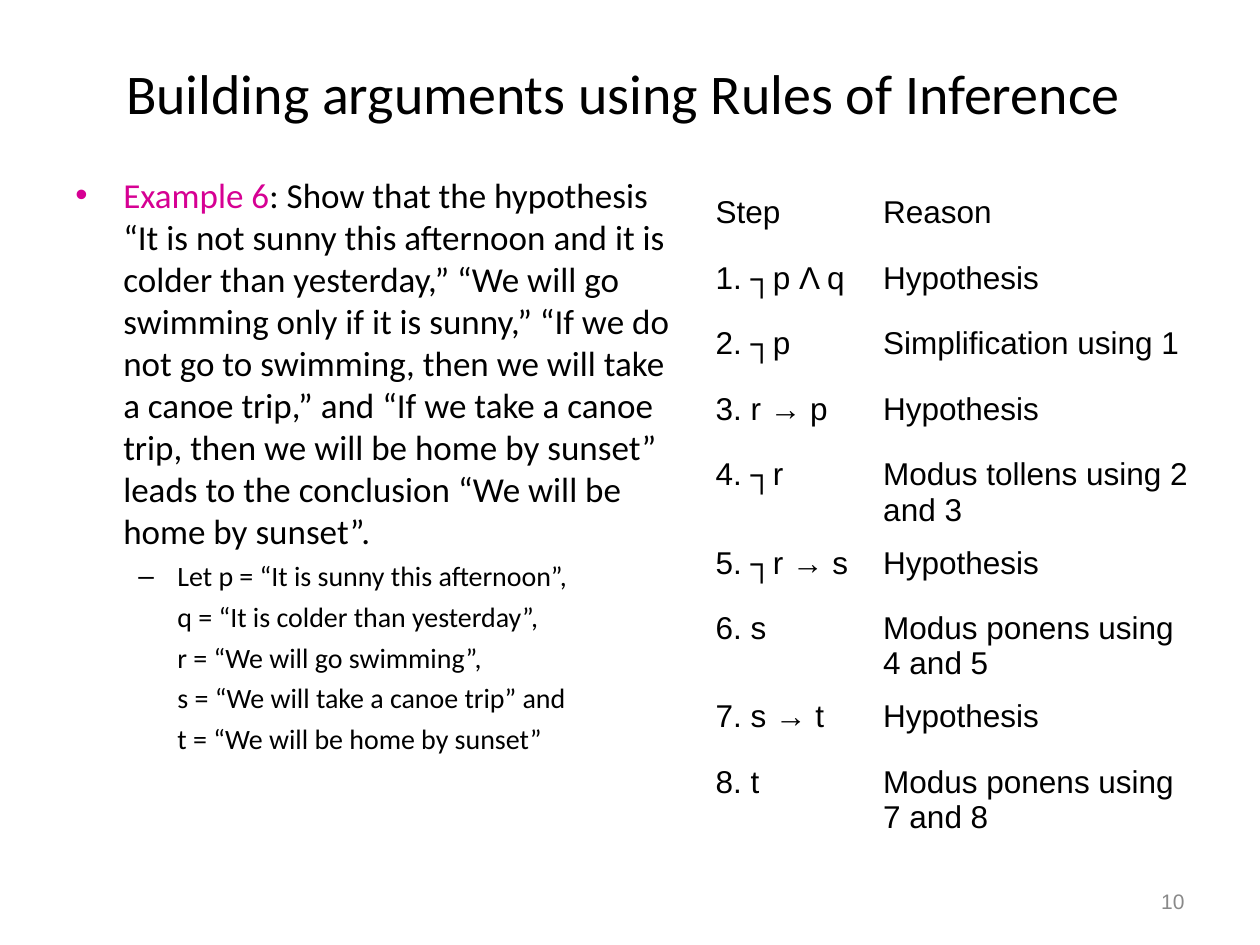
from dataclasses import dataclass

from lxml import etree
from pptx import Presentation, util as u
from pptx.dml import color
from pptx.enum import text as t
from pptx.oxml import ns

INK = {"black": "000000", "pink": "D60093", "gray": "898989"}


@dataclass
class Item:
    runs: list
    size: int
    left: float
    hang: float
    gap: int
    mark: str = ""
    tint: str = "black"


@dataclass
class Step:
    claim: str
    why: str
    high: float = 0.52


def write(para, words: str, *, size=18, font="Arial", ink="black", align=None) -> None:
    run = para.add_run()
    run.text = words
    run.font.size = u.Pt(size)
    run.font.name = font
    run.font.color.rgb = color.RGBColor.from_string(INK[ink])
    if align is not None:
        para.alignment = align


def frame(slide, left, top, wide, high, anchor=t.MSO_ANCHOR.TOP):
    box = slide.shapes.add_textbox(*map(u.Inches, (left, top, wide, high))).text_frame
    box.word_wrap = True
    box.vertical_anchor = anchor
    return box


def indent(para, item: Item) -> None:
    para.space_before = u.Pt(item.gap)
    props = para._p.get_or_add_pPr()
    props.set("marL", str(u.Inches(item.left)))
    props.set("indent", str(u.Inches(-item.hang)))
    if item.mark:
        tint = etree.SubElement(props, ns.qn("a:buClr"))
        etree.SubElement(tint, ns.qn("a:srgbClr"), val=INK[item.tint])
        etree.SubElement(props, ns.qn("a:buFont"), typeface="Arial")
        etree.SubElement(props, ns.qn("a:buChar"), char=item.mark)
    else:
        etree.SubElement(props, ns.qn("a:buNone"))


def listing(slide, items: list[Item]) -> None:
    box = frame(slide, 0.5, 1.33, 4.92, 5.92)
    for i, item in enumerate(items):
        para = box.add_paragraph() if i else box.paragraphs[0]
        indent(para, item)
        for words, ink in item.runs:
            write(para, words, size=item.size, font="Calibri", ink=ink)


def proof(slide, steps: list[Step]) -> None:
    total = sum(step.high for step in steps)
    grid = slide.shapes.add_table(
        len(steps), 2, *map(u.Inches, (5.58, 1.5, 4, total))).table
    grid.first_row = grid.horz_banding = False
    for col, wide in zip(grid.columns, (1.33, 2.67)):
        col.width = u.Inches(wide)
    for row, step in zip(grid.rows, steps):
        row.height = u.Inches(step.high)
        for cell, words in zip(row.cells, (step.claim, step.why)):
            cell.fill.background()
            write(cell.text_frame.paragraphs[0], words)


TASK = (
    ": Show that the hypothesis “It is not sunny this afternoon and it is colder than "
    "yesterday,” “We will go swimming only if it is sunny,” “If we do not go to swimming, "
    "then we will take a canoe trip,” and “If we take a canoe trip, then we will be home "
    "by sunset” leads to the conclusion “We will be home by sunset”."
)
TERMS = [
    "q = “It is colder than yesterday”, ",
    "r = “We will go swimming”, ",
    "s = “We will take a canoe trip” and ",
    "t = “We will be home by sunset”",
]
ITEMS = [
    Item([("Example 6", "pink"), (TASK, "black")], 20, 0.38, 0.38, 5, "•", "pink"),
    Item([("Let p = “It is sunny this afternoon”, ", "black")], 16, 0.81, 0.31, 4, "–"),
    *(Item([(term, "black")], 16, 0.81, 0, 4) for term in TERMS),
]
STEPS = [
    Step("Step", "Reason"),
    Step("1. ┐p Λ q", "Hypothesis"),
    Step("2. ┐p", "Simplification using 1"),
    Step("3. r → p", "Hypothesis"),
    Step("4. ┐r", "Modus tollens using 2 and 3", 0.7),
    Step("5. ┐r → s", "Hypothesis"),
    Step("6. s", "Modus ponens using 4 and 5", 0.7),
    Step("7. s → t", "Hypothesis"),
    Step("8. t ", "Modus ponens using 7 and 8", 0.7),
]

deck = Presentation()
deck.slide_width, deck.slide_height = u.Inches(10), u.Inches(7.5)
slide = deck.slides.add_slide(deck.slide_layouts[6])
title = frame(slide, 0.5, 0.3, 9, 0.87, t.MSO_ANCHOR.MIDDLE)
write(title.paragraphs[0], "Building arguments using Rules of Inference ",
      size=32, font="Calibri", align=t.PP_ALIGN.CENTER)
listing(slide, ITEMS)
number = frame(slide, 7.17, 6.95, 2.33, 0.4, t.MSO_ANCHOR.MIDDLE)
write(number.paragraphs[0], "10", size=12, ink="gray", align=t.PP_ALIGN.RIGHT)
proof(slide, STEPS)
deck.save("out.pptx")
